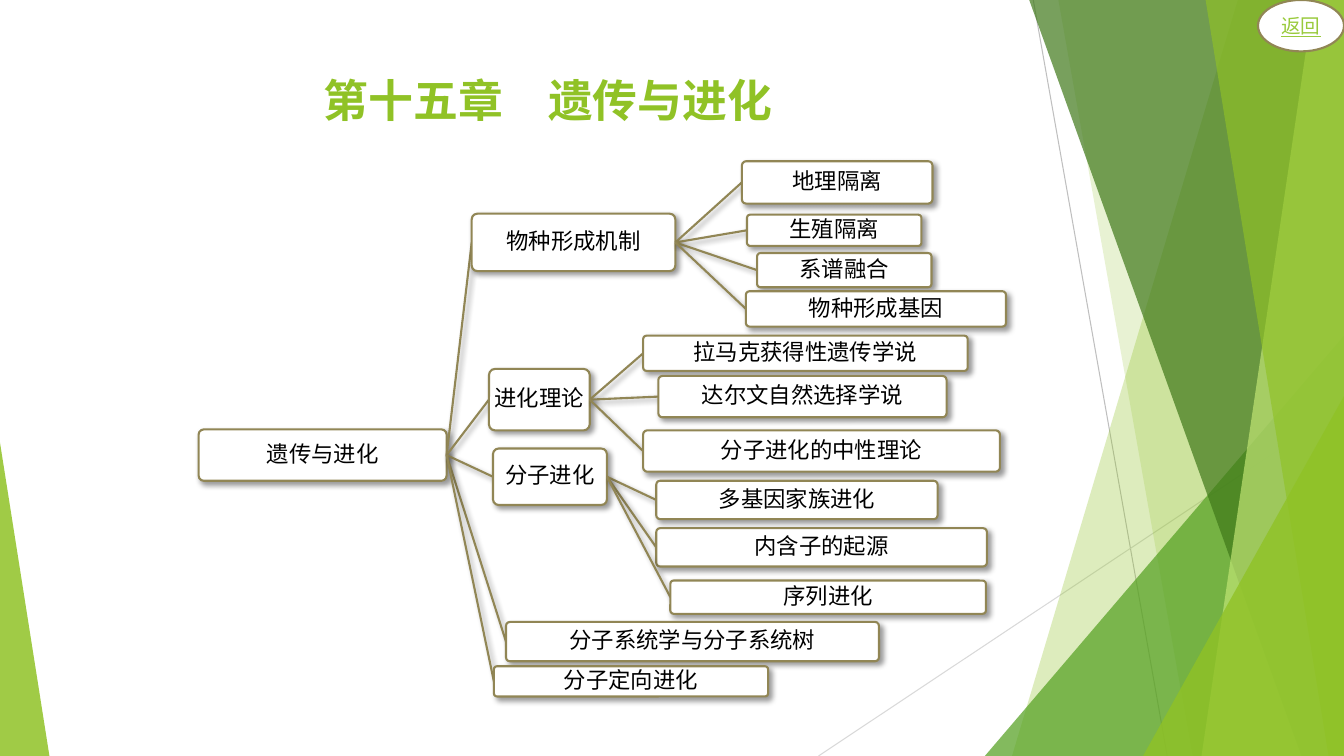
import pptx
import pptx.util
import pptx.dml.color
import pptx.enum.shapes
import pptx.enum.text
import pptx.oxml.ns
from dataclasses import dataclass
from lxml import etree

# ---- Content; every length is a percentage of the slide's width or height ----
TITLE = ("第十五章　遗传与进化", (5.55, 8.93, 70.5, 19.2))
BACK_BUTTON = ("返回", (93.6, 0, 6.4, 6.8))

# Mind map node: text, (left, top, width, height), children
MIND_MAP = ("遗传与进化", (14.78, 56.8, 18.45, 6.8), [
    ("物种形成机制", (35.1, 28.27, 15.15, 7.6), [
        ("地理隔离", (55.2, 21.33, 14.18, 5.6), []),
        ("生殖隔离", (55.58, 28.4, 12.98, 4.13), []),
        ("系谱融合", (56.33, 33.47, 12.98, 4.53), []),
        ("物种形成基因", (55.5, 38.53, 19.35, 4.67), []),
    ]),
    ("进化理论", (36.38, 48.8, 7.5, 8.13), [
        ("拉马克获得性遗传学说", (47.85, 44.4, 24.15, 4.67), []),
        ("达尔文自然选择学说", (48.98, 49.73, 21.45, 5.47), []),
        ("分子进化的中性理论", (47.85, 56.93, 26.55, 5.47), []),
    ]),
    ("分子进化", (36.68, 59.33, 8.48, 7.47), [
        ("多基因家族进化", (48.83, 63.6, 20.93, 5.07), []),
        ("内含子的起源", (48.83, 69.87, 24.6, 5.07), []),
        ("序列进化", (49.88, 76.8, 23.48, 4.4), []),
    ]),
    ("分子系统学与分子系统树", (37.65, 82.27, 27.75, 5.2), []),
    ("分子定向进化", (36.75, 88.13, 20.4, 4), []),
])

# Thin background lines: x1, y1, x2, y2, colour
RAYS = [(76.88, 0, 86.85, 100, "BFBFBF"), (100, 53.73, 60.9, 100, "D9D9D9")]

# Band: left edge at top and at bottom; it reaches the right side of the slide.
# Triangle: left, top, width, apex position; it stands on the slide's bottom.
FACETS = [
    ("band", (92.1, 75.3), "90C226", 30),
    ("band", (78.75, 88.73), "90C226", 20),
    ("triangle", (73.28, 44.4, 26.72, 1), "54A021", 72),
    ("band", (76.58, 96.83), "3F7819", 70),
    ("band", (97.73, 89.4), "C0E474", 70),
    ("band", (89.7, 98.85), "90C226", 65),
    ("triangle", (85.05, 52.4, 14.95, 1), "90C226", 80),
    ("triangle", (0, 58.53, 3.68, 0), "90C226", 85),
]


@dataclass(frozen=True)
class Theme:
    font: str = "Roboto"
    chinese_font: str = "Noto Sans CJK SC"
    title_size: int = 32
    node_size: int = 16
    button_size: int = 14
    title: str = "90C226"
    link: str = "99CA3C"
    text: str = "000000"
    node: str = "FFFFFF"
    outline: str = "918655"
    outline_width: float = 1.5
    ray_width: float = 0.75


THEME = Theme()
SHAPE = pptx.enum.shapes.MSO_SHAPE
ANCHOR = pptx.enum.text.MSO_ANCHOR
STRAIGHT = pptx.enum.shapes.MSO_CONNECTOR.STRAIGHT
qn = pptx.oxml.ns.qn

presentation = pptx.Presentation()
presentation.slide_width = pptx.util.Inches(13.33)
presentation.slide_height = pptx.util.Inches(7.5)
slide = presentation.slides.add_slide(presentation.slide_layouts[6])
shapes = slide.shapes


# ---- Helpers ----
def place(*percentages):
    """Turn alternating x and y percentages into slide lengths."""
    sides = (presentation.slide_width, presentation.slide_height)
    return [round(value * sides[index % 2] / 100)
            for index, value in enumerate(percentages)]


def rgb(value):
    return pptx.dml.color.RGBColor.from_string(value)


def paint(shape, fill, opacity=100, outline=None):
    shape.shadow.inherit = False
    shape.fill.solid()
    shape.fill.fore_color.rgb = rgb(fill)
    if opacity < 100:
        color = shape.fill._xPr.find(qn("a:solidFill"))[0]
        etree.SubElement(color, qn("a:alpha"), val=str(opacity * 1000))
    if outline:
        draw_line(shape, outline, THEME.outline_width)
    else:
        shape.line.fill.background()


def draw_line(shape, color, width):
    shape.line.color.rgb = rgb(color)
    shape.line.width = pptx.util.Pt(width)


def set_effects(shape, shadow):
    properties = shape._element.spPr
    effects = properties.find(qn("a:effectLst"))
    if effects is None:
        effects = etree.SubElement(properties, qn("a:effectLst"))
    if shadow:
        outer = etree.SubElement(
            effects, qn("a:outerShdw"), blurRad=str(pptx.util.Pt(4)),
            dist=str(pptx.util.Pt(3)), dir=str(45 * 60000), algn="tl", rotWithShape="0")
        black = etree.SubElement(outer, qn("a:srgbClr"), val="000000")
        etree.SubElement(black, qn("a:alpha"), val="40000")


def write(shape, text, size, color, anchor=ANCHOR.MIDDLE, bold=False, underline=False):
    frame = shape.text_frame
    frame.word_wrap = True
    frame.vertical_anchor = anchor
    paragraph = frame.paragraphs[0]
    paragraph.text = text
    paragraph.alignment = pptx.enum.text.PP_ALIGN.CENTER
    font = paragraph.font
    font.size = pptx.util.Pt(size)
    font.bold, font.underline = bold, underline
    font.color.rgb = rgb(color)
    font.name = THEME.font
    etree.SubElement(font._element, qn("a:ea"), typeface=THEME.chinese_font)
    return frame


def add_line(points, color, width, shadow=False):
    line = shapes.add_connector(STRAIGHT, *place(*points))
    draw_line(line, color, width)
    set_effects(line, shadow)


def add_facet(kind, geometry, color, opacity):
    if kind == "band":
        top, bottom = geometry
        builder = shapes.build_freeform(*place(top, 0))
        builder.add_line_segments(
            [place(*point) for point in ((100, 0), (100, 100), (bottom, 100))])
        facet = builder.convert_to_shape()
    else:
        left, top, width, apex = geometry
        facet = shapes.add_shape(SHAPE.ISOSCELES_TRIANGLE,
                                 *place(left, top, width, 100 - top))
        facet.adjustments[0] = apex
    paint(facet, color, opacity)


def add_branch(node, joint=None):
    text, box, children = node
    left, top, width, height = box
    middle = top + height / 2
    if joint:
        add_line((*joint, left, middle), THEME.outline, THEME.outline_width, shadow=True)
    shape = shapes.add_shape(SHAPE.ROUNDED_RECTANGLE, *place(*box))
    shape.adjustments[0] = 0.1
    paint(shape, THEME.node, outline=THEME.outline)
    set_effects(shape, shadow=True)
    frame = write(shape, text, THEME.node_size, THEME.text)
    frame.paragraphs[0].line_spacing = 0.9
    frame.margin_left = frame.margin_right = pptx.util.Inches(0.01)
    frame.margin_top = frame.margin_bottom = pptx.util.Inches(0.01)
    for child in children:
        add_branch(child, (left + width, middle))


# ---- Background ----
for *points, color in RAYS:
    add_line(points, color, THEME.ray_width)
for facet in FACETS:
    add_facet(*facet)

# ---- Title ----
title_text, title_box = TITLE
write(shapes.add_textbox(*place(*title_box)), title_text, THEME.title_size,
      THEME.title, anchor=ANCHOR.TOP, bold=True)

# ---- Mind map ----
add_branch(MIND_MAP)

# ---- Back button ----
button_text, button_box = BACK_BUTTON
button = shapes.add_shape(SHAPE.OVAL, *place(*button_box))
paint(button, THEME.node, outline=THEME.outline)
write(button, button_text, THEME.button_size, THEME.link, underline=True)

presentation.save("out.pptx")
